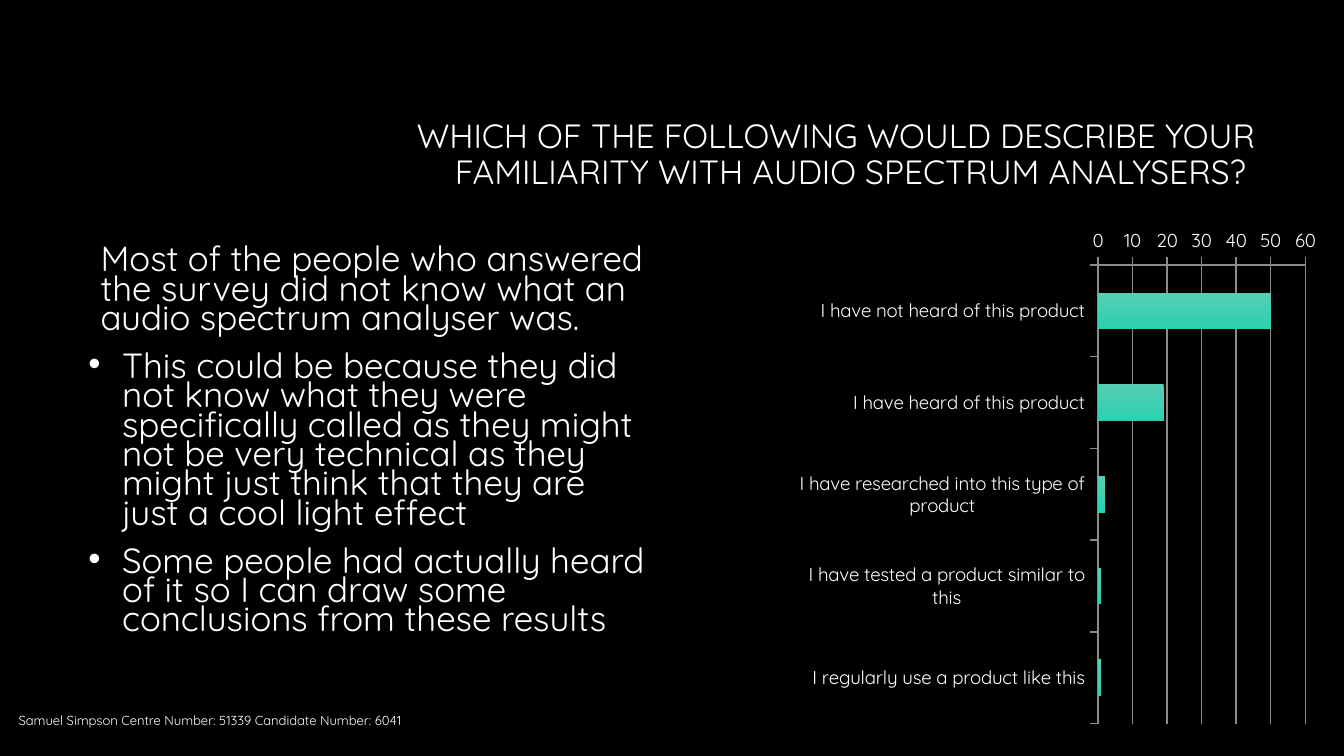
from pptx import Presentation
from pptx.chart.data import CategoryChartData
from pptx.dml.color import RGBColor as RGB
from pptx.enum.chart import XL_CHART_TYPE as ChartType, XL_TICK_MARK as Tick
from pptx.enum.text import MSO_ANCHOR as Anchor, PP_ALIGN as Align
from pptx.oxml.ns import qn
from pptx.util import Pt
from lxml.etree import SubElement

# Content
HEADING = ("WHICH OF THE FOLLOWING WOULD DESCRIBE YOUR "
           "FAMILIARITY WITH AUDIO SPECTRUM ANALYSERS? ")
FINDINGS = [  # text, bulleted
    ("Most of the people who answered the survey did not know what an "
     "audio spectrum analyser was.", False),
    ("This could be because they did not know what they were specifically "
     "called as they might not be very technical as they might just think "
     "that they are just a cool light effect", True),
    ("Some people had actually heard of it so I can draw some conclusions "
     "from these results", True),
]
CANDIDATE = "Samuel Simpson Centre Number: 51339 Candidate Number: 6041"
ANSWERS = {
    "I have not heard of this product": 50,
    "I have heard of this product": 19,
    "I have researched into this type of product": 2,
    "I have tested a product similar to this": 1,
    "I regularly use a product like this": 1,
}

THEME = {
    "font": "Quicksand",
    "background": RGB(0, 0, 0),
    "text": RGB(255, 255, 255),
    "bar_top": RGB(0x56, 0xCF, 0xB5),
    "bar_bottom": RGB(0x2A, 0xD1, 0xAF),
    "lines": RGB(0x8B, 0x8B, 0x8B),
    "heading": 18, "findings": 18.7, "candidate": 7, "chart": 10,
}

# Left, top, width, height
HEADING_BOX = (171.4, 45.4, 508.3, 76.3)
FINDINGS_BOX = (40.3, 129.6, 315.4, 237.6)
CANDIDATE_BOX = (2.9, 375.1, 459.4, 21.6)
CHART_BOX = (422.6, 117.4, 288, 275.8)


def style(font, size):
    font.name, font.size = THEME["font"], Pt(size)
    font.color.rgb = THEME["text"]


def add_text(slide, box, paragraphs, *, size, anchor=Anchor.TOP,
             align=Align.LEFT, leading=1.0, gap=0, indent=0):
    frame = slide.shapes.add_textbox(*map(Pt, box)).text_frame
    frame.word_wrap = True
    frame.vertical_anchor = anchor
    for i, (text, bulleted) in enumerate(paragraphs):
        para = frame.paragraphs[0] if i == 0 else frame.add_paragraph()
        para.alignment, para.line_spacing = align, leading
        if i:
            para.space_before = Pt(gap)
        props = para._p.get_or_add_pPr()
        props.set("marL", str(Pt(18 if bulleted else indent)))
        if bulleted:
            props.set("indent", str(Pt(-18)))
            SubElement(props, qn("a:buFont")).set("typeface", "Arial")
            SubElement(props, qn("a:buChar")).set("char", "•")
        run = para.add_run()
        run.text = text
        style(run.font, size)


def add_answers_chart(slide):
    data = CategoryChartData()
    data.categories = list(ANSWERS)
    data.add_series("Series 1", list(ANSWERS.values()))
    chart = slide.shapes.add_chart(
        ChartType.BAR_CLUSTERED, *map(Pt, CHART_BOX), data).chart
    chart.has_legend = chart.has_title = False
    style(chart.font, THEME["chart"])

    # Bars
    plot = chart.plots[0]
    plot.gap_width, plot.vary_by_categories = 150, False
    fill = plot.series[0].format.fill
    fill.gradient()
    fill.gradient_angle = 270
    for stop, shade in zip(fill.gradient_stops, ("bar_top", "bar_bottom")):
        stop.color.rgb = THEME[shade]

    # Axes: first answer on top, scale along the top edge
    answers, scale = chart.category_axis, chart.value_axis
    answers.reverse_order = True
    scale.minimum_scale, scale.maximum_scale, scale.major_unit = 0, 60, 10
    scale.has_major_gridlines = True
    for axis in (answers, scale):
        axis.major_tick_mark, axis.minor_tick_mark = Tick.OUTSIDE, Tick.NONE
    for part in (answers, scale, scale.major_gridlines):
        part.format.line.color.rgb = THEME["lines"]
        part.format.line.width = Pt(0.75)


def main():
    deck = Presentation()
    deck.slide_width, deck.slide_height = Pt(720), Pt(405)
    slide = deck.slides.add_slide(deck.slide_layouts[6])
    slide.background.fill.solid()
    slide.background.fill.fore_color.rgb = THEME["background"]

    add_text(slide, HEADING_BOX, [(HEADING, False)], size=THEME["heading"],
             anchor=Anchor.MIDDLE, align=Align.RIGHT, leading=0.9)
    add_text(slide, CANDIDATE_BOX, [(CANDIDATE, False)],
             size=THEME["candidate"], anchor=Anchor.MIDDLE)
    add_text(slide, FINDINGS_BOX, FINDINGS, size=THEME["findings"],
             leading=0.7, gap=10, indent=6.5)
    add_answers_chart(slide)
    deck.save("out.pptx")


if __name__ == "__main__":
    main()
